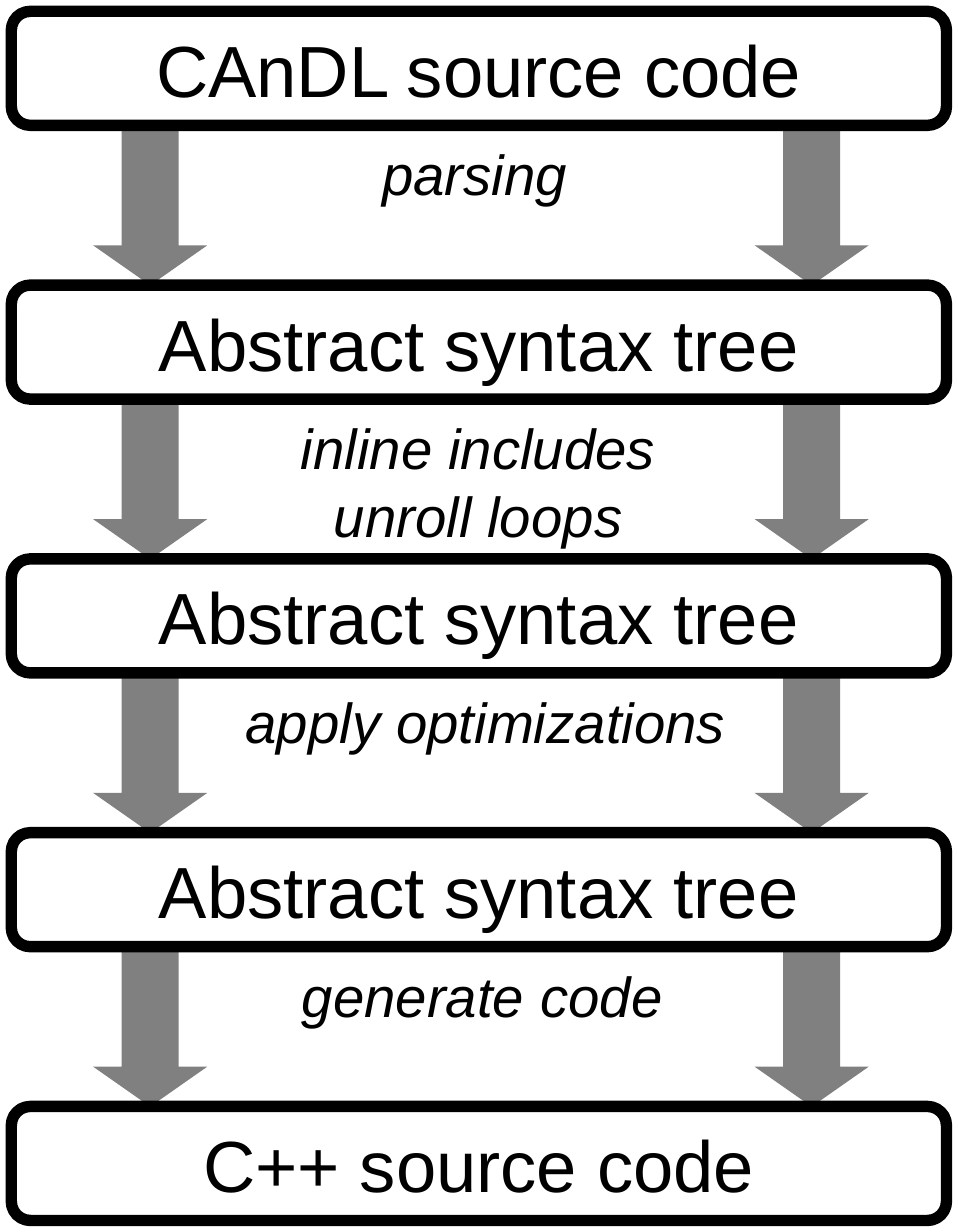
from pptx import Presentation
from pptx.dml.color import RGBColor
from pptx.enum.shapes import MSO_SHAPE
from pptx.enum.text import MSO_ANCHOR, MSO_AUTO_SIZE, PP_ALIGN
from pptx.util import Pt

ROUNDED = MSO_SHAPE.ROUNDED_RECTANGLE
DOWN_ARROW = MSO_SHAPE.DOWN_ARROW
MIDDLE = MSO_ANCHOR.MIDDLE
CENTER = PP_ALIGN.CENTER
GROW = MSO_AUTO_SIZE.SHAPE_TO_FIT_TEXT

BLACK = RGBColor(0, 0, 0)
WHITE = RGBColor(255, 255, 255)
GRAY = RGBColor(128, 128, 128)
FONT = "Arial"

BLANK_LAYOUT = 6
PAGE_WIDTH, PAGE_HEIGHT = 238.11, 306.14
FIRST_TOP = 2.83
STAGE_PITCH = 68.03
STAGE_LEFT, STAGE_WIDTH, STAGE_HEIGHT = 2.83, 232.44, 28.35
ARROW_LEFTS = (23.2, 187.6)
ARROW_WIDTH, ARROW_HEIGHT = 28.35, 39.7
CAPTION_HEIGHT = 38.5

STAGES = (
    "CAnDL source code",
    "Abstract syntax tree",
    "Abstract syntax tree",
    "Abstract syntax tree",
    "C++ source code",
)
# Each caption: text, left, width
CAPTIONS = (
    ("parsing", 87.8, 60.4),
    ("inline includes\nunroll loops", 67.4, 103),
    ("apply optimizations", 53.7, 134.1),
    ("generate code", 67.7, 104.4),
)


def stage_top(index):
    return FIRST_TOP + index * STAGE_PITCH


def write_text(frame, text, size, italic=False):
    frame.word_wrap = False
    frame.text = text
    for para in frame.paragraphs:
        para.alignment = CENTER
        for span in para.runs:
            span.font.name = FONT
            span.font.size = Pt(size)
            span.font.italic = italic
            span.font.color.rgb = BLACK


def add_filled_shape(page, kind, left, top, width, height, color):
    shape = page.shapes.add_shape(kind, Pt(left), Pt(top), Pt(width), Pt(height))
    shape.shadow.inherit = False
    shape.fill.solid()
    shape.fill.fore_color.rgb = color
    return shape


def add_arrow(page, left, top):
    arrow = add_filled_shape(page, DOWN_ARROW, left, top, ARROW_WIDTH, ARROW_HEIGHT, GRAY)
    arrow.adjustments[0] = 0.5
    arrow.adjustments[1] = 0.35
    arrow.line.fill.background()


def add_stage(page, text, top):
    box = add_filled_shape(page, ROUNDED, STAGE_LEFT, top, STAGE_WIDTH, STAGE_HEIGHT, WHITE)
    box.adjustments[0] = 0.167
    box.line.color.rgb = BLACK
    box.line.width = Pt(2.83)
    frame = box.text_frame
    frame.vertical_anchor = MIDDLE
    frame.margin_left = frame.margin_right = Pt(8.6)
    frame.margin_top = frame.margin_bottom = Pt(5)
    write_text(frame, text, 18)


def add_caption(page, text, left, top, width):
    box = page.shapes.add_textbox(Pt(left), Pt(top), Pt(width), Pt(CAPTION_HEIGHT))
    box.text_frame.auto_size = GROW
    write_text(box.text_frame, text, 14, italic=True)


def main():
    deck = Presentation()
    deck.slide_width, deck.slide_height = Pt(PAGE_WIDTH), Pt(PAGE_HEIGHT)
    page = deck.slides.add_slide(deck.slide_layouts[BLANK_LAYOUT])

    for index in range(len(CAPTIONS)):
        for left in ARROW_LEFTS:
            add_arrow(page, left, stage_top(index) + STAGE_HEIGHT)
    for index, text in enumerate(STAGES):
        add_stage(page, text, stage_top(index))
    for index, (text, left, width) in enumerate(CAPTIONS):
        add_caption(page, text, left, stage_top(index) + STAGE_HEIGHT, width)

    deck.save("out.pptx")


if __name__ == "__main__":
    main()
